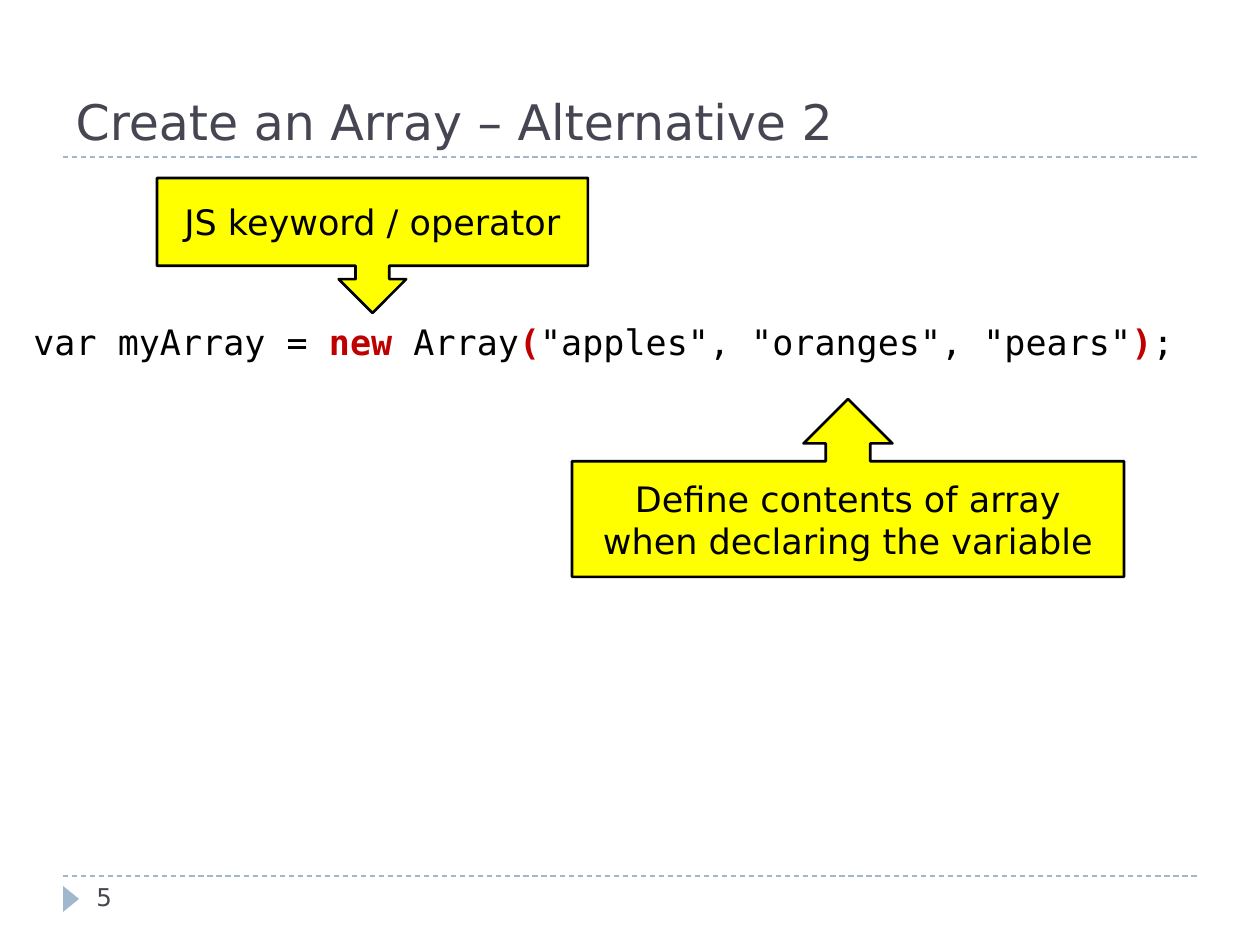
from dataclasses import dataclass

from lxml import etree
from pptx import Presentation
from pptx.dml.color import RGBColor
from pptx.enum.dml import MSO_LINE
from pptx.enum.shapes import MSO_CONNECTOR, MSO_SHAPE
from pptx.enum.text import MSO_ANCHOR, PP_ALIGN
from pptx.oxml.ns import qn
from pptx.util import Pt

LEFT, CENTER = PP_ALIGN.LEFT, PP_ALIGN.CENTER
TOP, MIDDLE, BOTTOM = MSO_ANCHOR.TOP, MSO_ANCHOR.MIDDLE, MSO_ANCHOR.BOTTOM
UP, DOWN = MSO_SHAPE.UP_ARROW_CALLOUT, MSO_SHAPE.DOWN_ARROW_CALLOUT
TRIANGLE = MSO_SHAPE.ISOSCELES_TRIANGLE
STRAIGHT, DASH = MSO_CONNECTOR.STRAIGHT, MSO_LINE.DASH


@dataclass(frozen=True)
class Theme:
    """Colours, fonts and type sizes of the slide."""
    ink: RGBColor = RGBColor(0x46, 0x46, 0x53)
    black: RGBColor = RGBColor(0, 0, 0)
    red: RGBColor = RGBColor(0xC0, 0, 0)
    yellow: RGBColor = RGBColor(0xFF, 0xFF, 0)
    accent: RGBColor = RGBColor(0x9F, 0xB8, 0xCD)
    sans: str = "DejaVu Sans"
    mono: str = "DejaVu Sans Mono"
    title: int = 28
    body: int = 20
    number: int = 14


T = Theme()
PX = 914400 // 126


def px(*values):
    """Turn whole pixels into EMU."""
    return [v * PX for v in values]


def write(sp, runs, size=T.body, font=T.sans, color=T.black,
          align=LEFT, anchor=TOP):
    """Fill a shape with one paragraph; runs are (text, emphasised) pairs."""
    tf = sp.text_frame
    tf.word_wrap = True
    tf.vertical_anchor = anchor
    p = tf.paragraphs[0]
    p.alignment = align
    for text, strong in runs:
        r = p.add_run()
        r.text = text
        r.font.size = Pt(size)
        r.font.name = font
        r.font.bold = strong
        r.font.color.rgb = T.red if strong else color


prs = Presentation()
prs.slide_width, prs.slide_height = px(1260, 945)
slide = prs.slides.add_slide(prs.slide_layouts[5])
shapes = slide.shapes

# Rules and page marker
for y in (876, 157):
    rule = shapes.add_connector(STRAIGHT, *px(63, y, 1197, y))
    rule.line.color.rgb = T.accent
    rule.line.width = Pt(0.75)
    rule.line.dash_style = DASH
    etree.SubElement(rule._element.spPr, qn("a:effectLst"))

marker = shapes.add_shape(TRIANGLE, *px(58, 891, 26, 16))
marker.rotation = 90
marker.shadow.inherit = False
marker.fill.solid()
marker.fill.fore_color.rgb = T.accent
marker.line.fill.background()

# Title
title = shapes.title
title.left, title.top, title.width, title.height = px(63, 21, 1134, 136)
write(title, [("Create an Array – Alternative 2", False)],
      size=T.title, color=T.ink, anchor=BOTTOM)

# Code line
code = shapes.add_textbox(*px(21, 316, 1229, 52))
write(code, [
    ("var myArray = ", False),
    ("new ", True),
    ("Array", False),
    ("(", True),
    ('"apples", "oranges", "pears"', False),
    (")", True),
    (";", False),
], font=T.mono, anchor=MIDDLE)

# Callouts
callouts = [
    (UP, (572, 399, 552, 178),
     "Define contents of array when declaring the variable"),
    (DOWN, (157, 178, 431, 135), "JS keyword / operator"),
]
for kind, box, text in callouts:
    sp = shapes.add_shape(kind, *px(*box))
    sp.shadow.inherit = False
    sp.fill.solid()
    sp.fill.fore_color.rgb = T.yellow
    sp.line.color.rgb = T.black
    sp.line.width = Pt(1.5)
    write(sp, [(text, False)], align=CENTER, anchor=MIDDLE)

# Slide number
number = shapes.add_textbox(*px(84, 876, 273, 50))
write(number, [("5", False)], size=T.number, color=T.ink)

prs.save("out.pptx")
